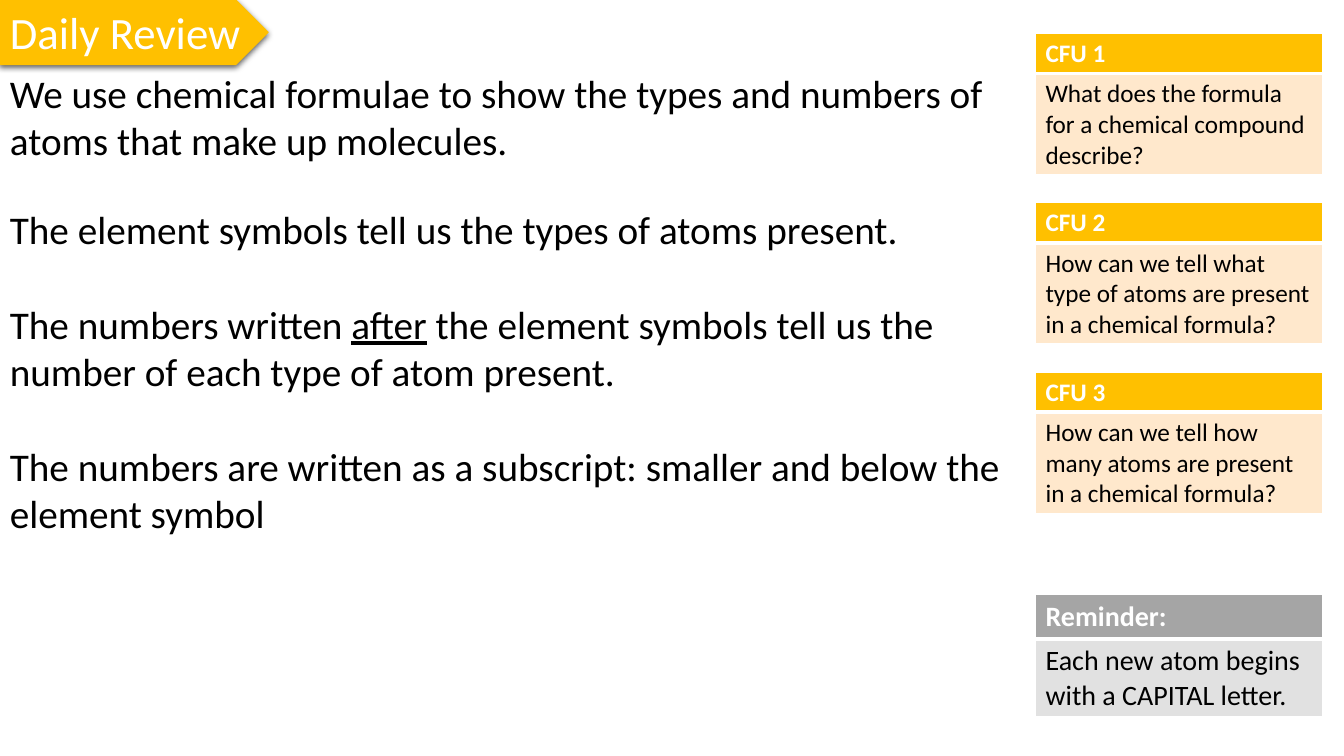
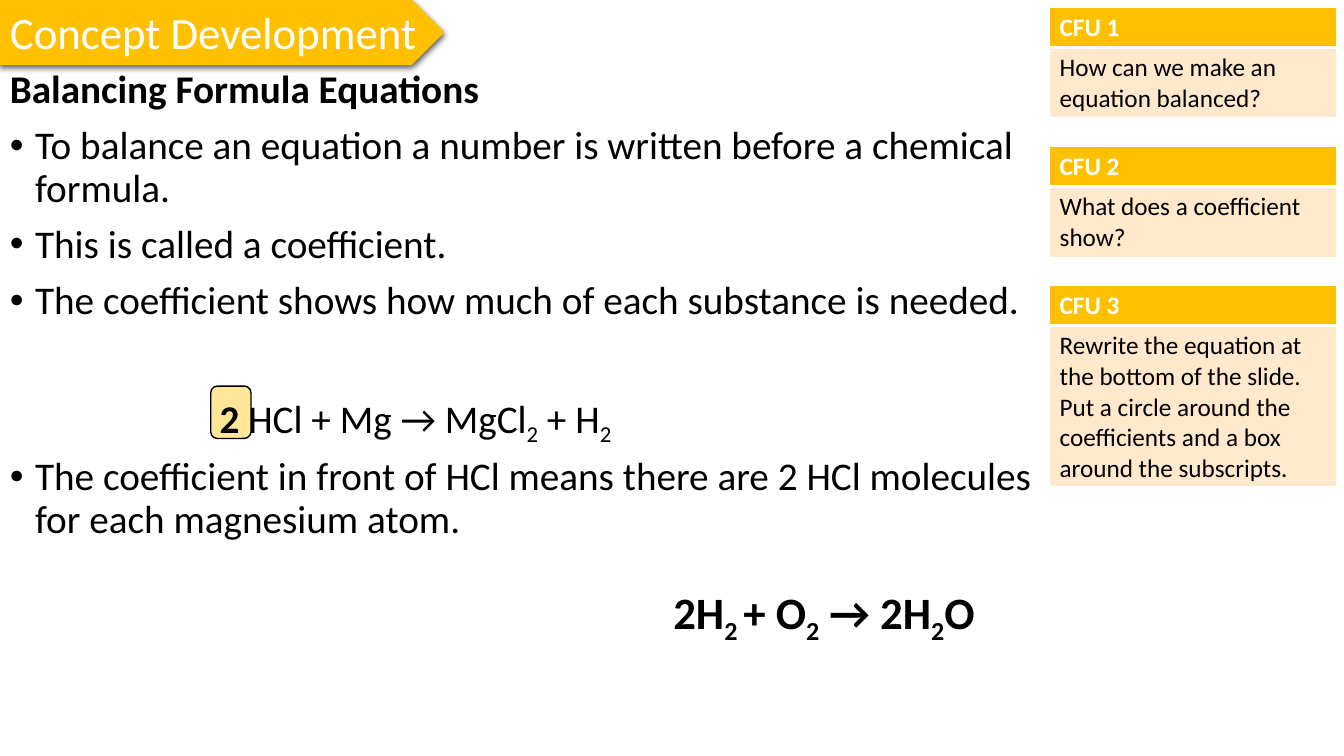
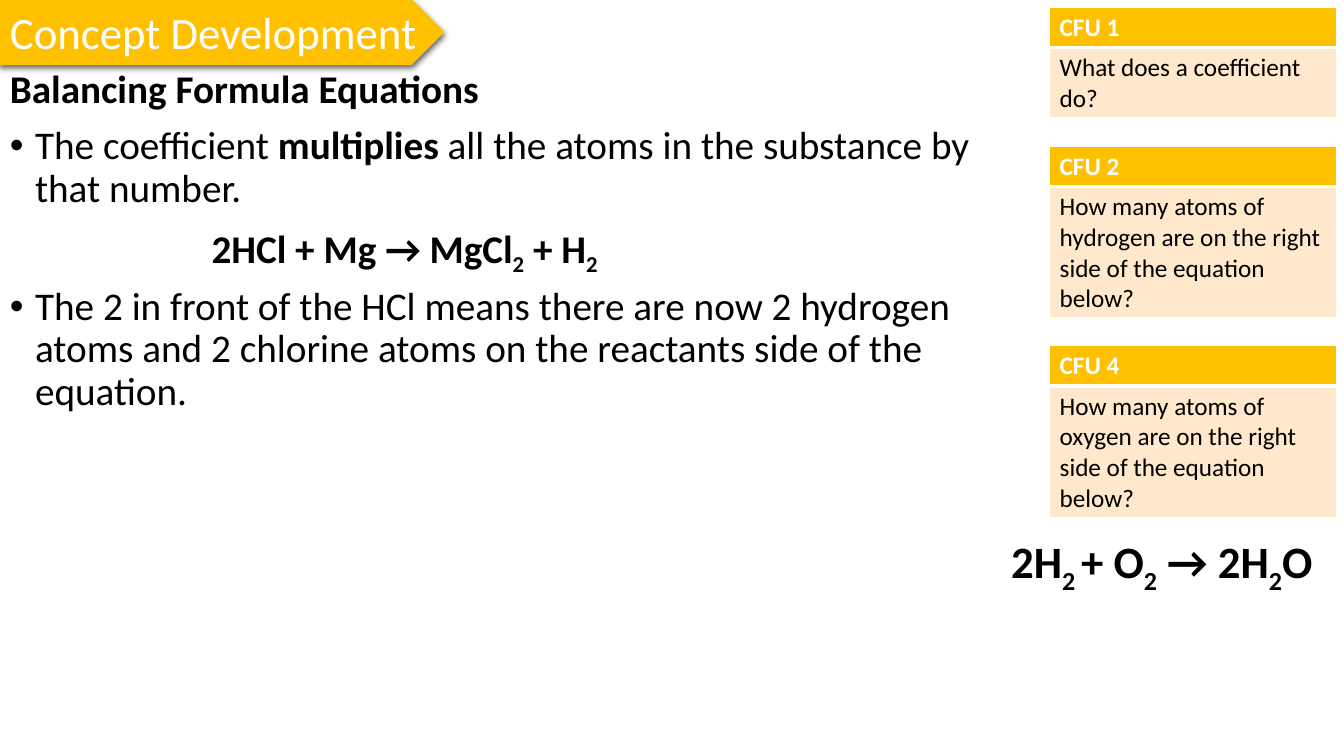
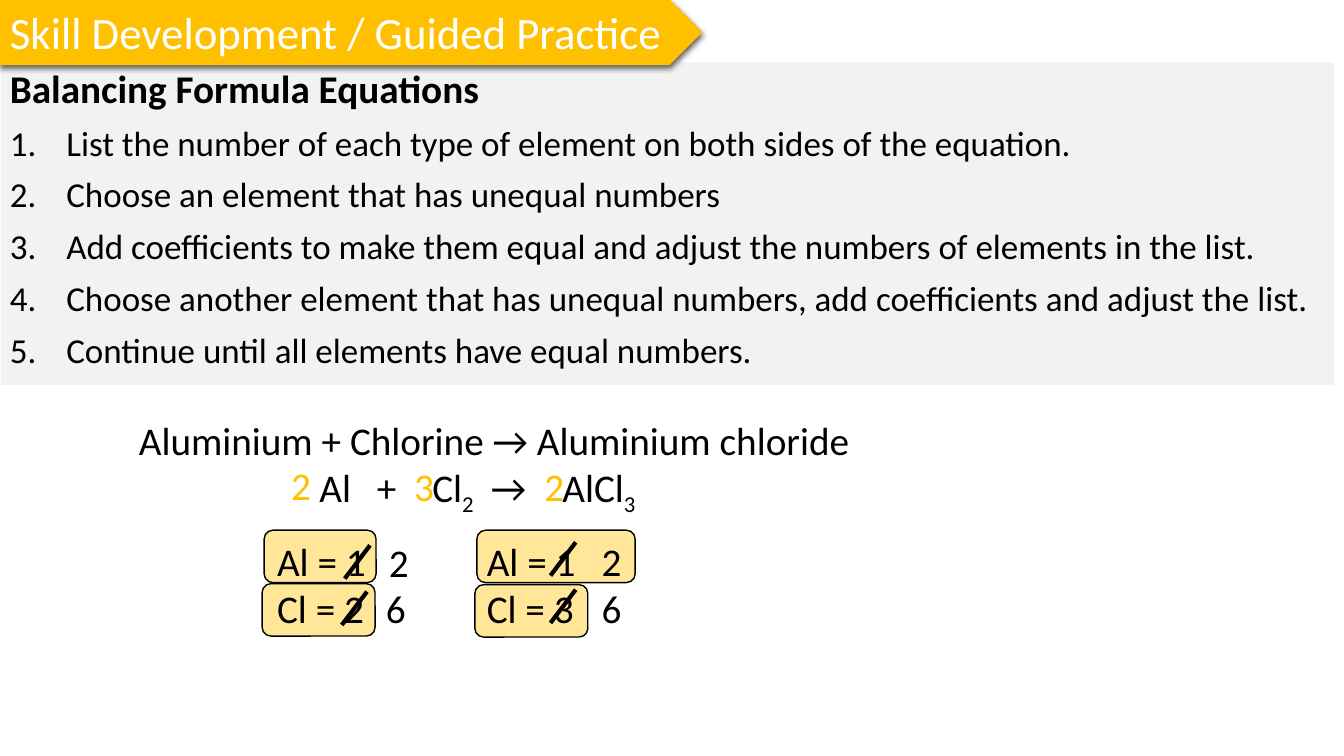
from itertools import groupby

from lxml.etree import SubElement
from pptx import Presentation
from pptx.dml.color import RGBColor
from pptx.enum.shapes import MSO_CONNECTOR, MSO_SHAPE
from pptx.enum.text import MSO_ANCHOR, MSO_AUTO_SIZE, PP_ALIGN
from pptx.oxml.ns import qn
from pptx.util import Inches, Pt

COLORS = {"gold": "FFC000", "peach": "FFE8CC", "grey": "A5A5A5", "silver": "E1E1E1",
          "yellow": "FFE699", "panel": "F2F2F2", "black": "000000", "white": "FFFFFF"}
FONT = "Calibri"
MARKS = {"*": "bold", "_": "underline", "~": "sub"}
CARD_WIDTH, CARD_GAP = 2.85, 0.28
HEADING = ("plain", "*Balancing Formula Equations*")
WATER = "*2H~2 ~+ O~2~ → 2H~2~O*"

STYLES = {
    "plain": {"margin": 0, "before": 10},
    "bullet": {"margin": 0.25, "hang": True, "before": 10, "bullet": ("a:buChar", "char", "•")},
    "number": {"margin": 0.56, "hang": True, "before": 10, "size": 25,
               "bullet": ("a:buAutoNum", "type", "arabicPeriod")},
    "equation": {"margin": 2, "before": 10},
    "spaced equation": {"margin": 2.08, "before": 51},
    "open": {"margin": 0, "before": 34, "line": 1},
}

SLIDES = [
    {"title": ("Daily Review", 2.66),
     "bodies": [
         ((0, 0.64, 10.27, 1.04), [
             ("open", "We use chemical formulae to show the types and numbers of atoms "
                      "that make up molecules.")]),
         ((0, 1.99, 10.27, 3.4), [
             ("open", "The element symbols tell us the types of atoms present."),
             ("open", "The numbers written _after_ the element symbols tell us the number "
                      "of each type of atom present."),
             ("open", "The numbers are written as a subscript: smaller and below the "
                      "element symbol")])],
     "cards": (10.27, 0.33, [
         ("CFU 1", "What does the formula for a chemical compound describe?", 3),
         ("CFU 2", "How can we tell what type of atoms are present in a chemical formula?", 3),
         ("CFU 3", "How can we tell how many atoms are present in a chemical formula?", 3)])},
    {"title": ("Concept Development", 4.4),
     "bodies": [((0, 0.64, 10.41, 5.48), [
         HEADING,
         ("bullet", "To balance an equation a number is written before a chemical formula."),
         ("bullet", "This is called a coefficient."),
         ("bullet", "The coefficient shows how much of each substance is needed."),
         ("spaced equation", "*2 *HCl + Mg → MgCl~2~ + H~2~"),
         ("bullet", "The coefficient in front of HCl means there are 2 HCl molecules "
                    "for each magnesium atom.")])],
     "cards": (10.41, 0.07, [
         ("CFU 1", "How can we make an equation balanced?", 2),
         ("CFU 2", "What does a coefficient show?", 2),
         ("CFU 3", "Rewrite the equation at the bottom of the slide. Put a circle around "
                   "the coefficients and a box around the subscripts.", 5)]),
     "highlights": [(2.09, 3.83, 0.4)],
     "labels": [(6.58, 5.75, 3.33, 0.64, WATER, 32, "black")]},
    {"title": ("Concept Development", 4.4),
     "bodies": [((0, 0.64, 10.33, 5.43), [
         HEADING,
         ("bullet", "The coefficient *multiplies* all the atoms in the substance by that number."),
         ("equation", "*2HCl + Mg → MgCl~2~ + H~2~*"),
         ("bullet", "The 2 in front of the HCl means there are now 2 hydrogen atoms and "
                    "2 chlorine atoms on the reactants side of the equation.")])],
     "cards": (10.41, 0.07, [
         ("CFU 1", "What does a coefficient do?", 2),
         ("CFU 2", "How many atoms of hydrogen are on the right side of the equation below?", 4),
         ("CFU 4", "How many atoms of oxygen are on the right side of the equation below?", 4)]),
     "labels": [(9.93, 5.25, 3.33, 0.64, WATER, 32, "black")]},
    {"title": ("Skill Development / Guided Practice", 6.96),
     "panel": (0.01, 0.62, 13.22, 3.2),
     "bodies": [((0, 0.64, 13.28, 3.28), [
         HEADING,
         ("number", "List the number of each type of element on both sides of the equation."),
         ("number", "Choose an element that has unequal numbers"),
         ("number", "Add coefficients to make them equal and adjust the numbers of "
                    "elements in the list."),
         ("number", "Choose another element that has unequal numbers, add coefficients "
                    "and adjust the list."),
         ("number", "Continue until all elements have equal numbers.")])],
     "highlights": [(2.62, 5.26, 1.11), (2.6, 5.79, 1.12), (4.73, 5.26, 1.57), (4.71, 5.8, 1.12)],
     "labels": [(2.65, 5.28, 1.09, 1.04, "Al = 1\nCl = 2", 28, "black"),
                (4.73, 5.28, 1.09, 1.04, "Al = 1\nCl = 3", 28, "black")]
     + [(x, y, 0.4, 0.57, digit, 28, color) for x, y, digit, color in [
         (2.79, 4.53, "2", "gold"), (4.01, 4.54, "3", "gold"), (5.3, 4.54, "2", "gold"),
         (3.76, 5.29, "2", "black"), (3.73, 5.75, "6", "black"),
         (5.87, 5.28, "2", "black"), (5.87, 5.75, "6", "black")]],
     "strikes": [(3.42, 5.74), (3.39, 6.2), (5.46, 5.71), (5.46, 6.18)]},
]
REMINDER = ("Reminder:", "Each new atom begins with a CAPITAL letter.")
REACTION = ["Aluminium + Chlorine → Aluminium chloride", "\tAl\t+\tCl~2~\t→\tAlCl~3~"]
REACTION_TABS = [1.79, 2.36, 2.91, 3.49, 4.2]


def rgb(name):
    return RGBColor.from_string(COLORS[name])


def box(*lengths):
    return [Inches(v) for v in lengths]


def write(p, text, size, color="black", bold=False):
    active, marked = set(), []
    for ch in text:
        if ch in MARKS:
            active ^= {MARKS[ch]}
        else:
            marked.append((ch, frozenset(active)))
    for marks, group in groupby(marked, key=lambda item: item[1]):
        r = p.add_run()
        r.text = "".join(ch for ch, _ in group)
        f = r.font
        f.name, f.size, f.color.rgb = FONT, Pt(size), rgb(color)
        f.bold = bold or "bold" in marks
        if "underline" in marks:
            f.underline = True
        if "sub" in marks:
            f._element.set("baseline", "-25000")


def paragraphs(tf, count):
    return [tf.paragraphs[0]] + [tf.add_paragraph() for _ in range(count - 1)]


def add_shape(s, kind, bounds, fill, line=None, width=1):
    sp = s.shapes.add_shape(kind, *box(*bounds))
    sp.shadow.inherit = False
    sp.fill.solid()
    sp.fill.fore_color.rgb = rgb(fill)
    if line:
        sp.line.color.rgb = rgb(line)
        sp.line.width = Pt(width)
    else:
        sp.line.fill.background()
    return sp


def add_title(s, text, width):
    sp = add_shape(s, MSO_SHAPE.PENTAGON, (0, 0, width, 0.64), "gold", "gold", 0.75)
    effects = sp._element.spPr.find(qn("a:effectLst"))
    shadow = SubElement(effects, qn("a:outerShdw"), blurRad=str(Pt(4.5)), dist=str(Pt(1.5)),
                        dir="5400000", algn="ctr", rotWithShape="0")
    tint = SubElement(shadow, qn("a:srgbClr"), val=COLORS["black"])
    SubElement(tint, qn("a:alpha"), val="63000")
    tf = sp.text_frame
    tf.word_wrap = False
    tf.auto_size = MSO_AUTO_SIZE.SHAPE_TO_FIT_TEXT
    tf.vertical_anchor = MSO_ANCHOR.TOP
    tf.paragraphs[0].alignment = PP_ALIGN.LEFT
    write(tf.paragraphs[0], text, 32, "white")


def add_body(s, bounds, lines):
    tf = s.shapes.add_textbox(*box(*bounds)).text_frame
    tf.word_wrap = True
    for i, (p, (kind, text)) in enumerate(zip(paragraphs(tf, len(lines)), lines)):
        style = STYLES[kind]
        p.line_spacing = style.get("line", 0.9)
        p.space_before = Pt(style["before"] if i else 0)
        pPr = p._p.get_or_add_pPr()
        margin = Inches(style["margin"])
        pPr.set("marL", str(margin))
        pPr.set("indent", str(-margin if "hang" in style else 0))
        if "bullet" in style:
            tag, key, value = style["bullet"]
            SubElement(pPr, qn("a:buFont"), typeface="Arial" if kind == "bullet" else FONT)
            SubElement(pPr, qn(tag), {key: value})
        write(p, text, style.get("size", 28))


def add_label(s, x, y, w, h, text, size, color):
    tf = s.shapes.add_textbox(*box(x, y, w, h)).text_frame
    tf.word_wrap = False
    tf.auto_size = MSO_AUTO_SIZE.SHAPE_TO_FIT_TEXT
    lines = text.split("\n")
    for p, line in zip(paragraphs(tf, len(lines)), lines):
        write(p, line, size, color)


def add_card(s, x, y, head, text, height, size=18, head_height=0.4, fills=("gold", "peach")):
    table = s.shapes.add_table(2, 1, *box(x, y, CARD_WIDTH, height)).table
    rows = [(head, head_height, "white", {"L": 1, "R": 1, "T": 1, "B": 3}),
            (text, height - head_height, "black", {"L": 1, "R": 1, "T": 3, "B": 1})]
    for i, (words, row_height, color, borders) in enumerate(rows):
        table.rows[i].height = Inches(row_height)
        cell = table.cell(i, 0)
        cell.fill.solid()
        cell.fill.fore_color.rgb = rgb(fills[i])
        write(cell.text_frame.paragraphs[0], words, size, color, bold=i == 0)
        tcPr = cell._tc.get_or_add_tcPr()
        for n, (side, width) in enumerate(borders.items()):
            ln = SubElement(tcPr, qn(f"a:ln{side}"), w=str(Pt(width)))
            SubElement(SubElement(ln, qn("a:solidFill")), qn("a:srgbClr"), val=COLORS["white"])
            tcPr.insert(n, ln)


def add_cards(s, x, y, cards):
    for head, text, lines in cards:
        height = 0.5 + 0.3 * lines
        add_card(s, x, y, head, text, height)
        y += height + CARD_GAP


def add_strike(s, x, y):
    line = s.shapes.add_connector(MSO_CONNECTOR.STRAIGHT, *box(x, y, x + 0.25, y - 0.33))
    line.line.color.rgb = rgb("black")
    line.line.width = Pt(3)
    SubElement(line._element.spPr, qn("a:effectLst"))


def add_reaction(s):
    tf = s.shapes.add_textbox(*box(1.28, 4.08, 7.35, 1.04)).text_frame
    tf.word_wrap = True
    names, symbols = paragraphs(tf, 2)
    tabs = SubElement(symbols._p.get_or_add_pPr(), qn("a:tabLst"))
    for pos in REACTION_TABS:
        SubElement(tabs, qn("a:tab"), pos=str(Inches(pos)), algn="l")
    for p, text in zip((names, symbols), REACTION):
        write(p, text, 28)


def main():
    prs = Presentation()
    prs.slide_width, prs.slide_height = box(13.33, 7.5)
    slides = []
    for content in SLIDES:
        s = prs.slides.add_slide(prs.slide_layouts[6])
        slides.append(s)
        if "panel" in content:
            add_shape(s, MSO_SHAPE.RECTANGLE, content["panel"], "panel")
        for x, y, w in content.get("highlights", []):
            add_shape(s, MSO_SHAPE.ROUNDED_RECTANGLE, (x, y, w, 0.52), "yellow", "black")
        add_title(s, *content["title"])
        for bounds, lines in content["bodies"]:
            add_body(s, bounds, lines)
        if "cards" in content:
            add_cards(s, *content["cards"])
        for label in content.get("labels", []):
            add_label(s, *label)
        for strike in content.get("strikes", []):
            add_strike(s, *strike)
    add_card(slides[0], 10.27, 5.9, *REMINDER, 1.2, 20, 0.44, ("grey", "silver"))
    add_reaction(slides[-1])
    prs.save("out.pptx")


if __name__ == "__main__":
    main()
